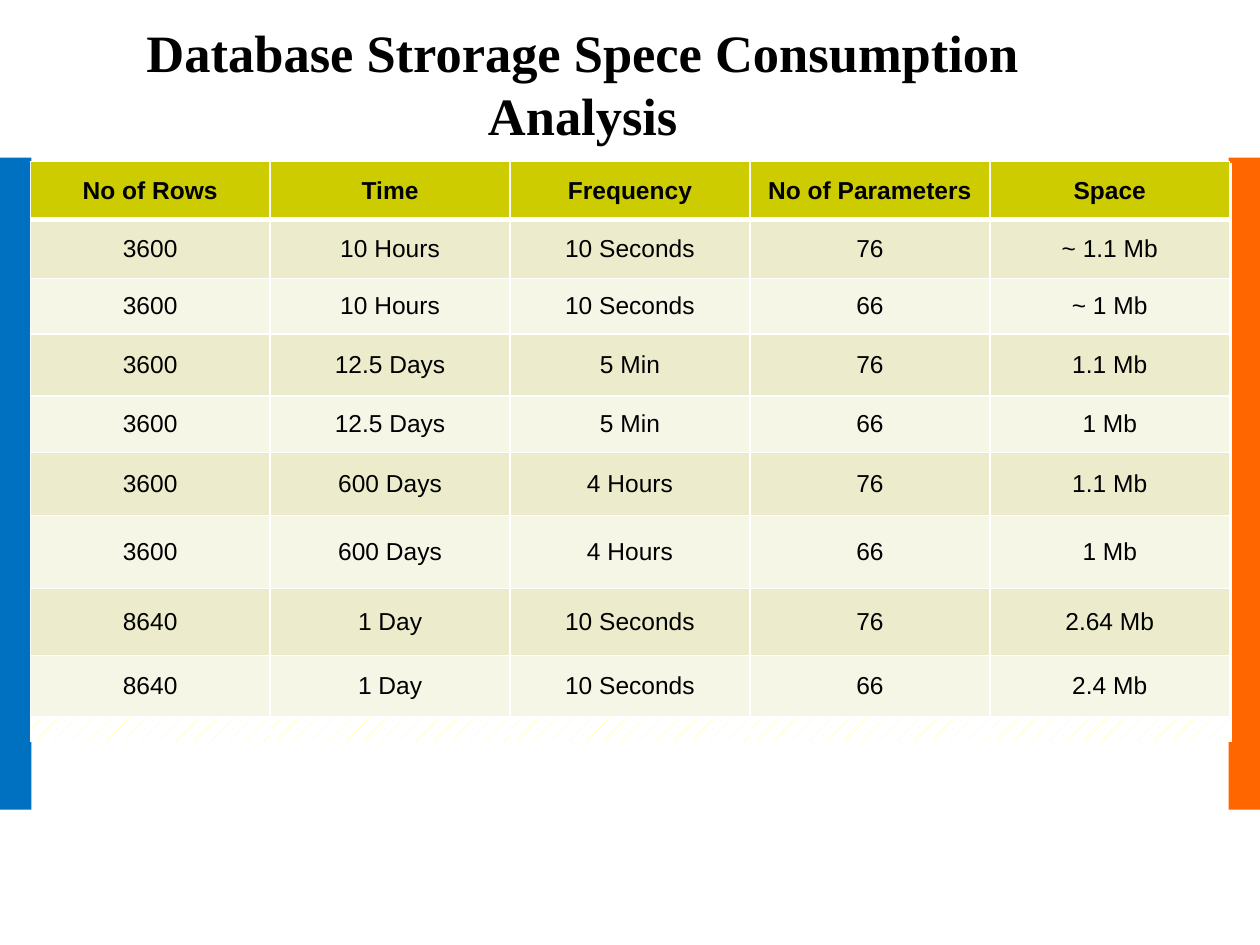
from lxml import etree
from pptx import Presentation
from pptx.dml.color import RGBColor
from pptx.enum.dml import MSO_PATTERN
from pptx.enum.shapes import MSO_SHAPE
from pptx.enum.text import MSO_ANCHOR, PP_ALIGN
from pptx.oxml.ns import qn
from pptx.util import Inches, Pt

WIDE, HIGH = 10, 7.5
BLACK = RGBColor(0x00, 0x00, 0x00)
WHITE = RGBColor(0xFF, 0xFF, 0xFF)
BLUE = RGBColor(0x00, 0x70, 0xC0)
ORANGE = RGBColor(0xFF, 0x66, 0x00)
OLIVE = RGBColor(0xCC, 0xCC, 0x00)
SAND = RGBColor(0xEC, 0xEC, 0xCC)
CREAM = RGBColor(0xF6, 0xF6, 0xE7)
YELLOW = RGBColor(0xFF, 0xFF, 0x85)

HEAD = ["No of Rows", "Time", "Frequency", "No of Parameters", "Space"]
# Rows, time and frequency, then the space for 76 and for 66 parameters
RUNS = [
    ("3600", "10 Hours", "10 Seconds", "~ 1.1 Mb", "~ 1 Mb"),
    ("3600", "12.5 Days", "5 Min", "1.1 Mb", "1 Mb"),
    ("3600", "600 Days", "4 Hours", "1.1 Mb", "1 Mb"),
    ("8640", "1 Day", "10 Seconds", "2.64 Mb", "2.4 Mb"),
]
ROWS = [HEAD] + [
    [count, time, freq, params, space]
    for count, time, freq, *sizes in RUNS
    for params, space in zip(("76", "66"), sizes)
]
SHARES = [46, 47, 44, 49, 45, 50, 58, 53, 49]


def style(para, font, size, bold):
    para.alignment = PP_ALIGN.CENTER
    for run in para.runs:
        run.font.name, run.font.size, run.font.bold = font, Pt(size), bold
        run.font.color.rgb = BLACK


def add_bar(slide, box, color):
    bar = slide.shapes.add_shape(MSO_SHAPE.RECTANGLE, *map(Inches, box))
    bar.shadow.inherit = False
    bar.fill.solid()
    bar.fill.fore_color.rgb = color
    bar.line.fill.background()


def add_title(slide, box, text):
    frame = slide.shapes.add_textbox(*map(Inches, box)).text_frame
    frame.word_wrap = True
    frame.vertical_anchor = MSO_ANCHOR.MIDDLE
    frame.margin_left = frame.margin_right = 0
    frame.margin_top = frame.margin_bottom = 0
    frame.text = text
    style(frame.paragraphs[0], "Times New Roman", 30, True)


def add_edges(cell, first):
    """White edges; the first row has a thick lower edge."""
    edges = {"L": 1, "R": 1, "T": 1, "B": 3} if first else {"L": 1, "R": 1, "B": 1}
    props = cell._tc.get_or_add_tcPr()
    for spot, (side, width) in enumerate(edges.items()):
        line = etree.Element(qn(f"a:ln{side}"), w=str(Pt(width)))
        fill = etree.SubElement(line, qn("a:solidFill"))
        etree.SubElement(fill, qn("a:srgbClr"), val=str(WHITE))
        props.insert(spot, line)


def add_grid(slide, box, shares, cols):
    left, top, width, height = box
    table = slide.shapes.add_table(len(shares), cols, *map(Inches, box)).table
    for col in table.columns:
        col.width = Inches(width / cols)
    for row, share in zip(table.rows, shares):
        row.height = Inches(height * share / sum(shares))
    for r, row in enumerate(table.rows):
        for cell in row.cells:
            add_edges(cell, r == 0)
    return table


def add_backing(slide, box):
    for cell in add_grid(slide, box, [1] * 7, 5).iter_cells():
        cell.fill.patterned()
        cell.fill.pattern = MSO_PATTERN.PERCENT_5
        cell.fill.fore_color.rgb = YELLOW
        cell.fill.back_color.rgb = WHITE


def add_data(slide, box):
    table = add_grid(slide, box, SHARES, len(HEAD))
    for r, (row, texts) in enumerate(zip(table.rows, ROWS)):
        color = OLIVE if r == 0 else SAND if r % 2 else CREAM
        for cell, text in zip(row.cells, texts):
            cell.fill.solid()
            cell.fill.fore_color.rgb = color
            cell.vertical_anchor = MSO_ANCHOR.MIDDLE
            cell.text_frame.text = text
            style(cell.text_frame.paragraphs[0], "Arial", 14, r == 0)


def main():
    deck = Presentation()
    deck.slide_width, deck.slide_height = Inches(WIDE), Inches(HIGH)
    slide = deck.slides.add_slide(deck.slide_layouts[6])

    # Side bars
    bar = WIDE / 40
    top, tall = HIGH / 6, HIGH * 0.69
    add_bar(slide, (WIDE - bar, top, bar, tall), ORANGE)
    add_bar(slide, (0, top, bar, tall), BLUE)

    # Title
    add_title(slide, (WIDE * 0.05, HIGH * 0.028, WIDE * 0.825, HIGH * 0.12),
              "Database Strorage Spece Consumption Analysis")

    # Patterned empty table behind the data table
    left = WIDE * 0.024
    add_backing(slide, (left, HIGH * 0.173, WIDE * 0.953, HIGH * 0.612))
    add_data(slide, (left, HIGH * 0.171, WIDE * 0.952, HIGH * 0.588))

    deck.save("out.pptx")


if __name__ == "__main__":
    main()
